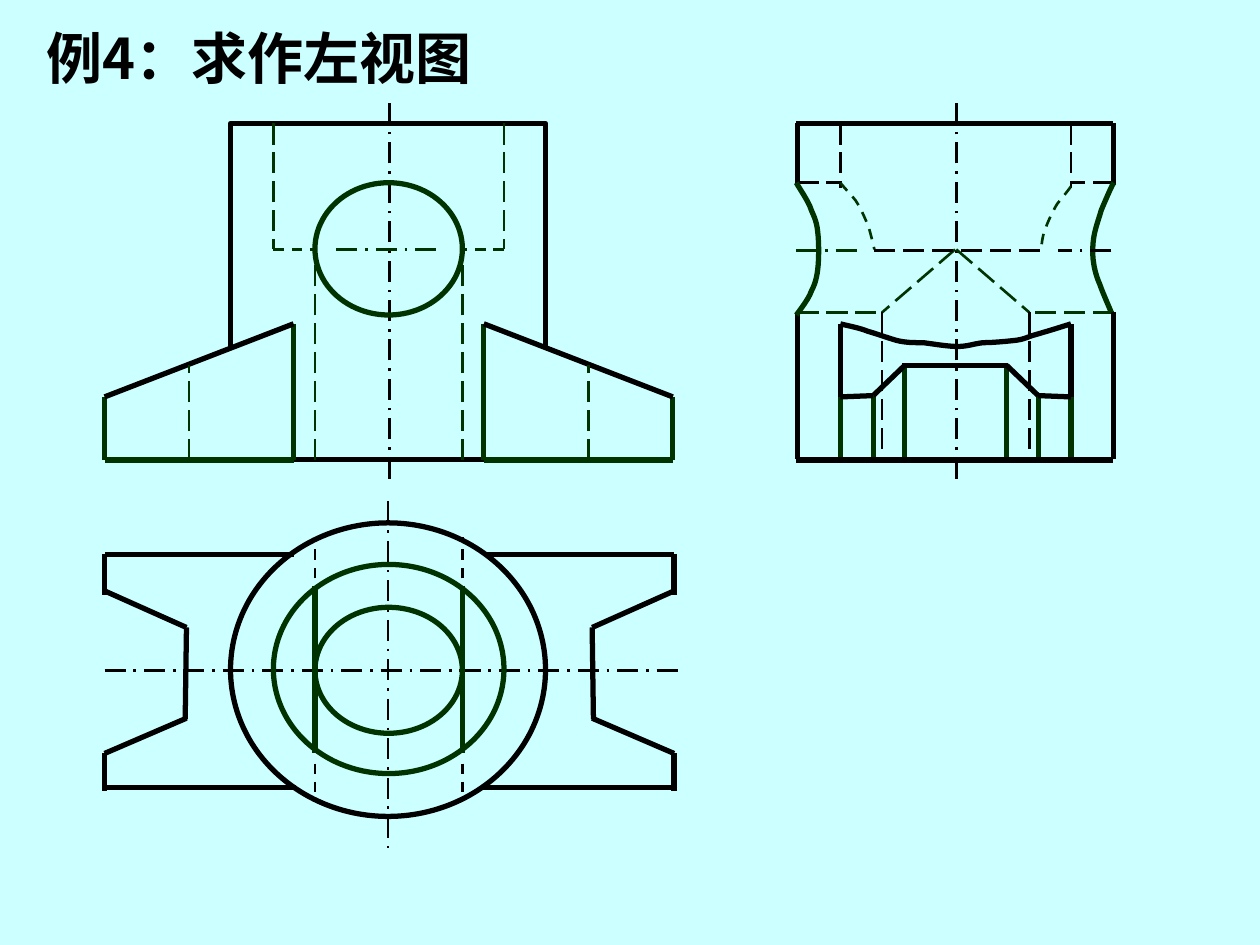
from dataclasses import dataclass
from typing import NamedTuple, Optional

from lxml.etree import SubElement
from pptx import Presentation
from pptx.dml.color import RGBColor
from pptx.enum.dml import MSO_LINE as Dash
from pptx.enum.shapes import MSO_CONNECTOR as Link, MSO_SHAPE as Kind
from pptx.enum.text import MSO_ANCHOR as Anchor, MSO_AUTO_SIZE as Fit
from pptx.oxml.ns import qn
from pptx.util import Inches, Pt


@dataclass(frozen=True)
class Theme:
    back: str = "CCFFFF"
    ink: str = "000000"
    green: str = "003300"
    latin: str = "Times New Roman"
    cjk: str = "Noto Sans CJK SC"
    title: int = 32
    thick: float = 3
    thin: float = 1.5
    wipe: float = 4.5
    hair: float = 0.75


class Pen(NamedTuple):
    color: str
    width: float
    dash: Optional[Dash] = None


class Line(NamedTuple):
    x1: float
    y1: float
    x2: float
    y2: float
    pen: Pen


class Outline(NamedTuple):
    kind: Kind
    x: float
    y: float
    w: float
    h: float
    pen: Pen


class Curve(NamedTuple):
    """Chained cubic segments: a start point, then three points for each segment."""
    points: list
    pen: Pen


T = Theme()
BOLD = Pen(T.ink, T.thick)
EDGE = Pen(T.green, T.thick)
HIDE = Pen(T.green, T.thin, Dash.LONG_DASH)
DARK = Pen(T.ink, T.thin, Dash.LONG_DASH)
FINE = Pen(T.green, T.thin, Dash.DASH)
STUB = Pen(T.ink, T.thin, Dash.DASH)
AXIS = Pen(T.ink, T.thin, Dash.LONG_DASH_DOT)
MID = Pen(T.green, T.thin, Dash.LONG_DASH_DOT)
WIPE = Pen(T.back, T.wipe)
HAIR = Pen(T.back, T.hair)

# Sum of the x values of any mirrored pair in each part
FRONT, PLATE, SIDE = 6.17, 6.18, 15.17

AXES = [
    Line(0.83, 5.32, 5.42, 5.32, AXIS),
    Line(3.08, 3.98, 3.08, 6.73, AXIS),
    Line(3.09, 3.8, 3.09, 0.82, AXIS),
    Line(7.59, 3.8, 7.59, 0.82, AXIS),
]
SHAPES = [
    Outline(Kind.OVAL, 1.83, 4.15, 2.5, 2.33, BOLD),
    Outline(Kind.RECTANGLE, 1.83, 0.98, 2.5, 2.67, BOLD),
    Outline(Kind.OVAL, 2.17, 4.48, 1.83, 1.66, EDGE),
    Outline(Kind.OVAL, 2.5, 4.82, 1.17, 1, EDGE),
    Outline(Kind.OVAL, 2.5, 1.45, 1.17, 1.05, EDGE),
]
FRONT_HALF = [
    Line(2.5, 3.65, 2.5, 1.98, HIDE),
    Line(2.17, 0.98, 2.17, 1.98, HIDE),
    Line(2.17, 1.98, 2.5, 1.98, FINE),
    Line(0.83, 3.15, 0.83, 3.65, EDGE),
    Line(2.33, 3.65, 2.33, 2.57, EDGE),
    Line(1.84, 2.77, 1.84, 3.65, WIPE),
    Line(2.33, 2.57, 0.83, 3.15, BOLD),
    Line(2.33, 3.65, 0.83, 3.65, EDGE),
    Line(1.5, 3.65, 1.5, 2.9, HIDE),
    Line(2.5, 4.65, 2.5, 5.98, EDGE),
    Line(2.5, 6.06, 2.5, 6.35, STUB),
    Line(2.5, 4.59, 2.5, 4.26, STUB),
]
PLATE_HALF = [
    Line(2.33, 4.4, 0.83, 4.4, BOLD),
    Line(0.83, 4.4, 0.83, 4.72, BOLD),
    Line(1.48, 4.98, 0.83, 4.69, BOLD),
    Line(1.48, 4.98, 1.47, 5.71, BOLD),
    Line(1.48, 5.7, 0.83, 5.98, BOLD),
    Line(0.83, 5.98, 0.83, 6.28, BOLD),
    Line(2.35, 6.25, 0.83, 6.25, BOLD),
]
SIDE_HALF = [
    Line(6.67, 0.98, 6.67, 1.49, DARK),
    Line(6.33, 1.45, 6.67, 1.45, DARK),
    Line(6.67, 3.15, 6.67, 3.65, EDGE),
    Line(6.93, 3.14, 6.93, 3.63, EDGE),
    Line(7.18, 2.9, 7.18, 3.65, EDGE),
    Line(6.67, 3.15, 6.93, 3.14, BOLD),
    Line(7.18, 2.9, 6.93, 3.14, BOLD),
    Line(6.67, 3.15, 6.67, 2.57, BOLD),
    Line(6.33, 2.48, 7, 2.48, HIDE),
    Line(7.58, 1.98, 7, 2.48, HIDE),
    Line(7, 2.48, 7, 3.63, DARK),
    Line(6.67, 1.99, 6.87, 1.99, HAIR),
    Line(6.33, 0.98, 6.33, 1.47, BOLD),
    Line(6.33, 2.48, 6.33, 3.64, BOLD),
]
SINGLES = [
    Line(2.67, 1.98, 3.5, 1.98, MID),
    Line(7.16, 2.9, 8, 2.9, BOLD),
    Line(6.32, 1.99, 6.83, 1.99, MID),
    Line(8.82, 1.99, 8.4, 1.99, AXIS),
    Line(6.94, 1.99, 8.26, 1.99, DARK),
    Line(6.32, 0.98, 8.83, 0.98, BOLD),
    Line(8.83, 3.65, 6.32, 3.65, BOLD),
]
CURVES = [
    Curve([(6.67, 2.57), (6.7, 2.58), (6.82, 2.6), (6.89, 2.63),
           (6.96, 2.65), (7.04, 2.68), (7.11, 2.7),
           (7.18, 2.72), (7.25, 2.72), (7.33, 2.72),
           (7.41, 2.73), (7.52, 2.75), (7.6, 2.75),
           (7.68, 2.75), (7.72, 2.73), (7.8, 2.72),
           (7.87, 2.72), (7.99, 2.71), (8.07, 2.7),
           (8.14, 2.69), (8.16, 2.67), (8.24, 2.65),
           (8.31, 2.63), (8.44, 2.59), (8.5, 2.57)], BOLD),
    Curve([(8.5, 1.48), (8.48, 1.51), (8.43, 1.57), (8.39, 1.62),
           (8.36, 1.67), (8.32, 1.75), (8.3, 1.81),
           (8.27, 1.87), (8.27, 1.95), (8.26, 1.99)], FINE),
    Curve([(6.67, 1.45), (6.69, 1.48), (6.75, 1.54), (6.79, 1.59),
           (6.83, 1.65), (6.86, 1.72), (6.89, 1.79),
           (6.91, 1.85), (6.93, 1.94), (6.94, 1.98)], FINE),
    Curve([(6.32, 1.45), (6.34, 1.49), (6.42, 1.6), (6.44, 1.67),
           (6.47, 1.74), (6.48, 1.76), (6.49, 1.84),
           (6.5, 1.92), (6.5, 2.06), (6.49, 2.14),
           (6.48, 2.21), (6.47, 2.25), (6.44, 2.31),
           (6.42, 2.37), (6.35, 2.46), (6.32, 2.5)], EDGE),
    Curve([(8.84, 1.45), (8.82, 1.48), (8.77, 1.6), (8.74, 1.67),
           (8.72, 1.74), (8.69, 1.82), (8.68, 1.89),
           (8.67, 1.96), (8.67, 2.03), (8.68, 2.09),
           (8.69, 2.15), (8.7, 2.19), (8.73, 2.26),
           (8.75, 2.32), (8.8, 2.43), (8.82, 2.48)], EDGE),
]


def ink(line, pen: Pen) -> None:
    line.color.rgb = RGBColor.from_string(pen.color)
    line.width = Pt(pen.width)
    if pen.dash:
        line.dash_style = pen.dash


def draw_line(shapes, item: Line) -> None:
    ends = [Inches(v) for v in item[:4]]
    link = shapes.add_connector(Link.STRAIGHT, *ends)
    ink(link.line, item.pen)
    SubElement(link._element.spPr, qn("a:effectLst"))


def draw_pair(shapes, item: Line, fold: float) -> None:
    """Draw a line and its mirror image."""
    draw_line(shapes, item)
    draw_line(shapes, item._replace(x1=fold - item.x1, x2=fold - item.x2))


def finish(shape, pen: Pen) -> None:
    shape.fill.background()
    shape.shadow.inherit = False
    ink(shape.line, pen)


def draw_shape(shapes, item: Outline) -> None:
    box = [Inches(v) for v in item[1:5]]
    finish(shapes.add_shape(item.kind, *box), item.pen)


def draw_curve(shapes, item: Curve, steps: int = 6) -> None:
    pts = item.points
    dots = []
    for i in range(0, len(pts) - 1, 3):
        for n in range(1, steps + 1):
            t = n / steps
            s = 1 - t
            mix = (s ** 3, 3 * s * s * t, 3 * s * t * t, t ** 3)
            dots.append([Inches(sum(m * p[k] for m, p in zip(mix, pts[i:i + 4])))
                         for k in (0, 1)])
    path = shapes.build_freeform(*[Inches(v) for v in pts[0]])
    path.add_line_segments(dots, close=False)
    finish(path.convert_to_shape(), item.pen)


def draw_title(shapes) -> None:
    box = shapes.add_textbox(Inches(0.27), Inches(0.13), Inches(3.79), Inches(0.64))
    frame = box.text_frame
    frame.word_wrap = False
    frame.auto_size = Fit.SHAPE_TO_FIT_TEXT
    frame.vertical_anchor = Anchor.MIDDLE
    para = frame.paragraphs[0]
    for text, face in (("例", T.latin), ("4", T.cjk), ("：求作左视图", T.latin)):
        run = para.add_run()
        run.text = text
        font = run.font
        font.size, font.bold, font.name = Pt(T.title), True, face
        font.color.rgb = RGBColor.from_string(T.ink)
        SubElement(run._r.get_or_add_rPr(), qn("a:ea"), typeface=T.cjk)


def main() -> None:
    deck = Presentation()
    deck.slide_width, deck.slide_height = Inches(10), Inches(7.5)
    slide = deck.slides.add_slide(deck.slide_layouts[6])
    slide.background.fill.solid()
    slide.background.fill.fore_color.rgb = RGBColor.from_string(T.back)
    shapes = slide.shapes
    for axis in AXES:
        draw_line(shapes, axis)
    for item in SHAPES:
        draw_shape(shapes, item)
    for half, fold in ((FRONT_HALF, FRONT), (PLATE_HALF, PLATE), (SIDE_HALF, SIDE)):
        for item in half:
            draw_pair(shapes, item, fold)
    for curve in CURVES:
        draw_curve(shapes, curve)
    for item in SINGLES:
        draw_line(shapes, item)
    draw_title(shapes)
    deck.save("out.pptx")


if __name__ == "__main__":
    main()
